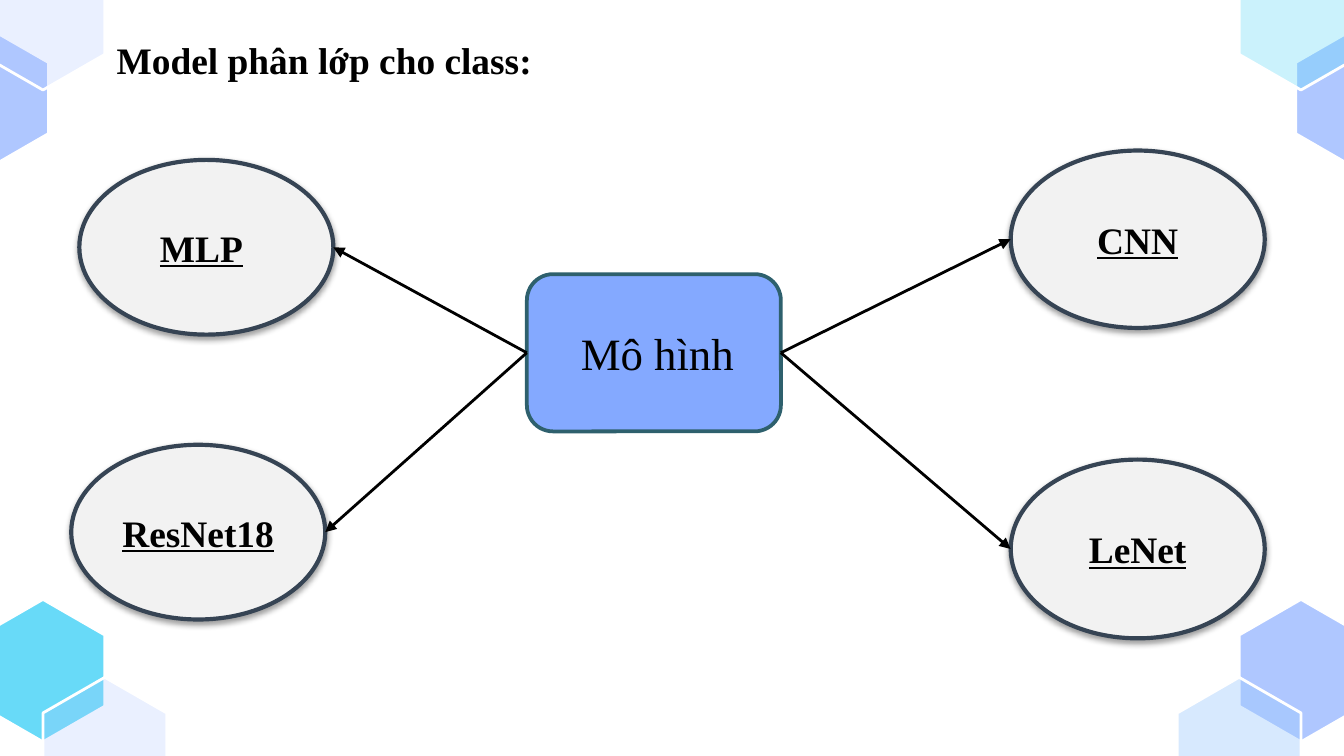
import pptx
import pptx.util
import pptx.dml.color
import pptx.enum.shapes
import pptx.enum.text
import pptx.oxml
import pptx.oxml.ns
import lxml.etree

THEME = {
    "font": "Times New Roman", "black": "000000", "white": "FFFFFF",
    "blue": "AFC7FF", "cyan": "68DAF8", "sky": "9FCBFD",
    "box": "84A9FF", "box_line": "2E606D",
    "oval": "F2F2F2", "oval_line": "364454",
    "label": 20, "core": 24,
}
RGB = pptx.dml.color.RGBColor.from_string
Pt = pptx.util.Pt
SHAPE = pptx.enum.shapes.MSO_SHAPE

prs = pptx.Presentation()
prs.slide_width = pptx.util.Inches(10)
prs.slide_height = pptx.util.Inches(5.625)
s = prs.slides.add_slide(prs.slide_layouts[6])

# Grid of 100 columns by 100 rows
COL, ROW = prs.slide_width / 100, prs.slide_height / 100


def paint(sp, fill, line, width):
    sp.fill.solid()
    sp.fill.fore_color.rgb = RGB(THEME[fill])
    sp.line.color.rgb = RGB(THEME[line])
    sp.line.width = Pt(width)
    sp.shadow.inherit = False


def write(sp, text, size, bold=False, underline=False):
    tf = sp.text_frame
    tf.word_wrap = True
    r = tf.paragraphs[0].add_run()
    r.text = text
    r.font.name = THEME["font"]
    r.font.size = Pt(THEME[size])
    r.font.bold, r.font.underline = bold, underline
    r.font.color.rgb = RGB(THEME["black"])
    return tf


# Corner hexagons: each row is mirrored to the left side
# right column, top row, (right fill, opacity), (left fill, opacity)
HEX_W, HEX_H = 9.2, 18.84
hexagons = [
    (92.2, 79.29, ("blue", 100), ("cyan", 100)),
    (96.4, 3.56, ("blue", 100), ("blue", 100)),
    (87.6, 89.6, ("sky", 41), ("blue", 25)),
    (92.2, -6.93, ("cyan", 34), ("blue", 25)),
]
outline = [(0.5, 0), (1, 0.25), (1, 0.75), (0.5, 1), (0, 0.75), (0, 0.25)]
for right, top, right_fill, left_fill in hexagons:
    for left, (fill, opacity) in ((right, right_fill),
                                  (100 - right - HEX_W, left_fill)):
        points = [(round((left + x * HEX_W) * COL), round((top + y * HEX_H) * ROW))
                  for x, y in outline]
        builder = s.shapes.build_freeform(*points[0])
        builder.add_line_segments(points[1:], close=True)
        sp = builder.convert_to_shape()
        paint(sp, fill, "white", 1.5)
        if opacity < 100:
            color = sp.fill._xPr.find(".//" + pptx.oxml.ns.qn("a:srgbClr"))
            lxml.etree.SubElement(color, pptx.oxml.ns.qn("a:alpha"),
                                  val=str(opacity * 1000))

# Title
title = s.shapes.add_textbox(round(7.7 * COL), round(4.09 * ROW),
                             round(49.4 * COL), round(7.82 * ROW))
write(title, "Model phân lớp cho class:", "label", bold=True)

# Central box
core = s.shapes.add_shape(SHAPE.ROUNDED_RECTANGLE, round(39.2 * COL), round(36.27 * ROW),
                          round(18.9 * COL), round(20.8 * ROW))
paint(core, "box", "box_line", 2)
tf = write(core, "Mô hình", "core")
tf.vertical_anchor = pptx.enum.text.MSO_ANCHOR.MIDDLE
tf.paragraphs[0].alignment = pptx.enum.text.PP_ALIGN.CENTER
tf.margin_left = round(1.5 * COL)

# Model ovals and their arrows: text, left, top, height, right inset
OVAL_W = 18.9
models = [
    ("MLP", 5.9, 21.16, 23.11, 1.7),
    ("ResNet18", 5.3, 58.84, 23.11, 1),
    ("CNN", 75.2, 19.91, 23.47, 1),
    ("LeNet", 75.2, 60.8, 23.64, 1),
]
SHADOW = ('<a:outerShdw xmlns:a="http://schemas.openxmlformats.org/drawingml/2006/main" '
          'blurRad="40000" dist="20000" dir="5400000" rotWithShape="0">'
          '<a:srgbClr val="000000"><a:alpha val="38000"/></a:srgbClr></a:outerShdw>')
for text, left, top, height, inset in models:
    sp = s.shapes.add_shape(SHAPE.OVAL, round(left * COL), round(top * ROW),
                            round(OVAL_W * COL), round(height * ROW))
    paint(sp, "oval", "oval_line", 2.25)
    effects = sp._element.spPr.find(pptx.oxml.ns.qn("a:effectLst"))
    effects.append(pptx.oxml.parse_xml(SHADOW))
    tf = write(sp, text, "label", bold=True, underline=True)
    tf.vertical_anchor = pptx.enum.text.MSO_ANCHOR.MIDDLE
    tf.paragraphs[0].alignment = pptx.enum.text.PP_ALIGN.CENTER
    tf.margin_right = round(inset * COL)

    on_left = left < 50
    end_x = sp.left + sp.width if on_left else sp.left
    arrow = s.shapes.add_connector(pptx.enum.shapes.MSO_CONNECTOR.STRAIGHT,
                                   core.left, core.top, end_x, sp.top + sp.height // 2)
    arrow.begin_connect(core, 1 if on_left else 3)
    arrow.line.color.rgb = RGB(THEME["black"])
    arrow.line.width = Pt(1.5)
    lxml.etree.SubElement(arrow.line._get_or_add_ln(),
                          pptx.oxml.ns.qn("a:tailEnd"), type="triangle")
    lxml.etree.SubElement(arrow._element.spPr, pptx.oxml.ns.qn("a:effectLst"))

prs.save("out.pptx")
